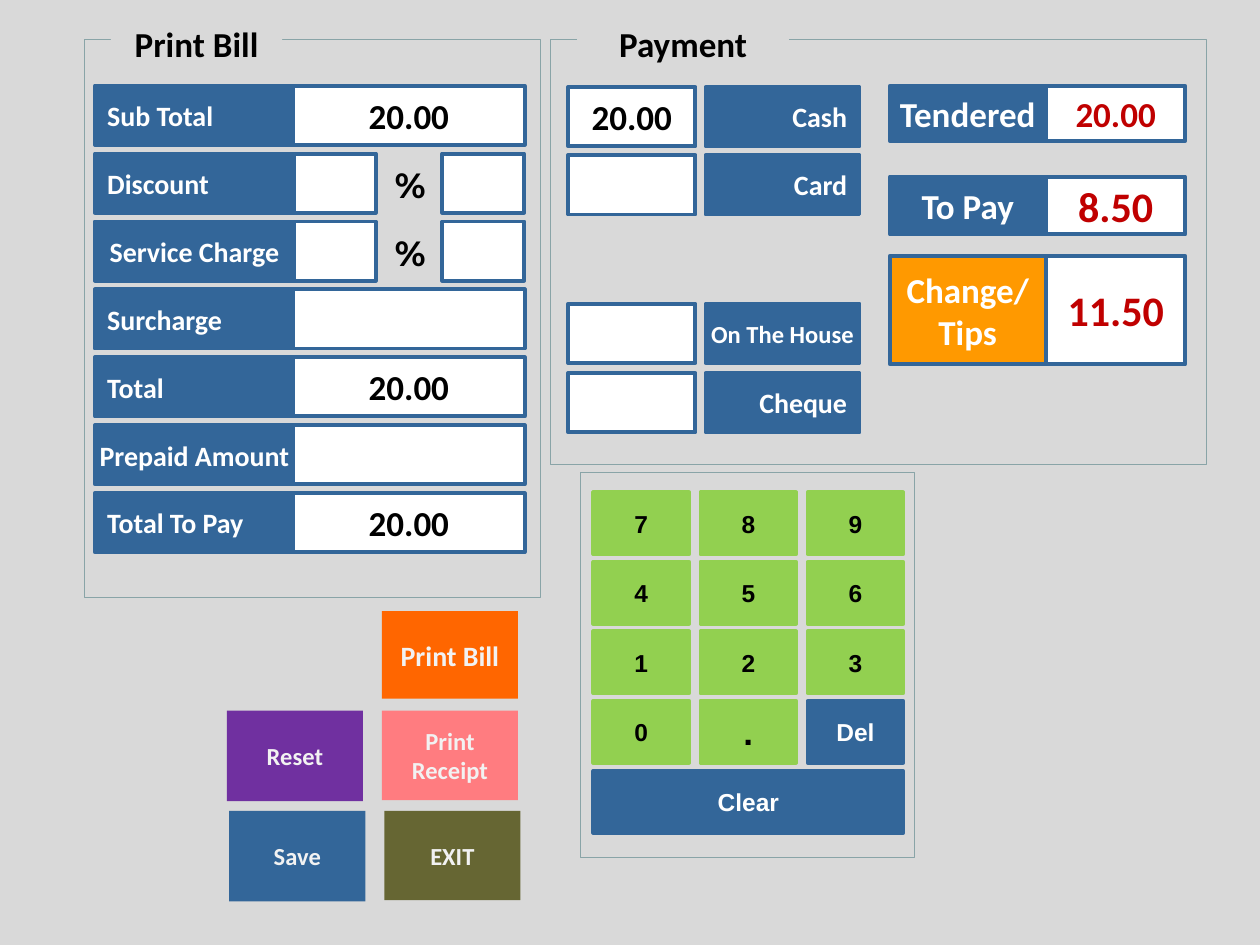
from itertools import product

from pptx import Presentation
from pptx import util as u
from pptx.dml.color import RGBColor
from pptx.enum import shapes, text

GREY = RGBColor(0xD9, 0xD9, 0xD9)
BLUE = RGBColor(0x33, 0x66, 0x99)
WHITE = RGBColor(0xFF, 0xFF, 0xFF)
BLACK = RGBColor(0x00, 0x00, 0x00)
RED = RGBColor(0xC0, 0x00, 0x00)
AMBER = RGBColor(0xFF, 0x99, 0x00)
GREEN = RGBColor(0x92, 0xD0, 0x50)
PURPLE = RGBColor(0x70, 0x30, 0xA0)
PINK = RGBColor(0xFF, 0x7C, 0x80)
ORANGE = RGBColor(0xFF, 0x66, 0x00)
OLIVE = RGBColor(0x66, 0x66, 0x33)
PALE = RGBColor(0xF2, 0xF2, 0xF2)
FRAME = RGBColor(0x89, 0xA4, 0xA7)

LEFT, CENTER, RIGHT = text.PP_ALIGN.LEFT, text.PP_ALIGN.CENTER, text.PP_ALIGN.RIGHT
TOP, MIDDLE = text.MSO_ANCHOR.TOP, text.MSO_ANCHOR.MIDDLE

deck = Presentation()
deck.slide_width, deck.slide_height = u.Pt(720), u.Pt(540)
page = deck.slides.add_slide(deck.slide_layouts[6])


def write(box, words, size, color, align=CENTER, font="Calibri", anchor=MIDDLE, wrap=False):
    frame = box.text_frame
    frame.text = words
    frame.word_wrap = wrap
    frame.vertical_anchor = anchor
    look = {"name": font, "size": u.Pt(size), "bold": True}
    for para in frame.paragraphs:
        para.alignment = align
        for span in para.runs:
            for key, value in look.items():
                setattr(span.font, key, value)
            span.font.color.rgb = color


def block(left, top, width, height, fill=None, line=None, weight=2.25):
    box = page.shapes.add_shape(
        shapes.MSO_SHAPE.RECTANGLE, u.Pt(left), u.Pt(top), u.Pt(width), u.Pt(height))
    box.shadow.inherit = False
    if fill is None:
        box.fill.background()
    else:
        box.fill.solid()
        box.fill.fore_color.rgb = fill
    if line is None:
        box.line.fill.background()
    else:
        box.line.color.rgb = line
        box.line.width = u.Pt(weight)
    return box


block(0, 0, 720, 540, GREY)

payments = [
    (49.7, "Cash", "20.00", 16, RIGHT),
    (88.6, "Card", "", 16, RIGHT),
    (173.5, "On The House", "", 14, CENTER),
    (213.1, "Cheque", "", 16, RIGHT),
]
for top, label, amount, size, align in payments:
    write(block(403.2, top, 88, 34, BLUE, BLUE), label, size, WHITE, align)
    write(block(324.7, top, 72.7, 34, WHITE, BLUE), amount, 20, BLACK)

balances = [
    (49, 31.5, BLUE, "Tendered", "20.00", 20),
    (101, 33, BLUE, "To Pay", "8.50", 24),
    (146.2, 62, AMBER, "Change/\nTips", "11.50", 24),
]
for top, height, fill, label, amount, size in balances:
    write(block(508.5, top, 89, height, fill, BLUE), label, 20, WHITE)
    write(block(597.8, top, 79.5, height, WHITE, BLUE), amount, size, RED)

bill_rows = [
    ("Sub Total", "20.00", LEFT),
    ("Discount", "%", LEFT),
    ("Service Charge", "%", CENTER),
    ("Surcharge", "", LEFT),
    ("Total", "20.00", LEFT),
    ("Prepaid Amount", "", CENTER),
    ("Total To Pay", "20.00", LEFT),
]
for row, (label, amount, align) in enumerate(bill_rows):
    top = 49 + 38.8 * row
    write(block(54.2, top, 113.8, 33.8, BLUE, BLUE), label, 16, WHITE, align)
    if amount == "%":
        for left in (168, 252.7):
            block(left, top, 46.8, 33.8, WHITE, BLUE)
        sign = page.shapes.add_textbox(u.Pt(218.5), u.Pt(top + 2), u.Pt(32.4), u.Pt(31.5))
        write(sign, amount, 20, BLACK, LEFT, "Montserrat", TOP)
    else:
        write(block(167.6, top, 132.2, 33.8, WHITE, BLUE), amount, 20, BLACK)

actions = [
    (218.2, 349.2, 50, ORANGE, "Print Bill", 16),
    (129.6, 406.1, 51.8, PURPLE, "Reset", 14),
    (218.2, 406.1, 51.1, PINK, "Print\nReceipt", 14),
    (131, 463.3, 51.8, BLUE, "Save", 14),
    (219.6, 463.3, 51.1, OLIVE, "EXIT", 14),
]
for left, top, height, fill, label, size in actions:
    write(block(left, top, 77.8, height, fill), label, size, PALE)

keys = ["7", "8", "9", "4", "5", "6", "1", "2", "3", "0", ".", "Del"]
for (row, column), key in zip(product(range(4), range(3)), keys):
    fill, color = (BLUE, WHITE) if key == "Del" else (GREEN, BLACK)
    button = block(339.1 + 61.2 * column, 281.4 + 39.7 * row, 54.7, 35.3, fill, fill)
    write(button, key, 20 if key == "." else 14, color, font="Arial")
write(block(339.1, 440.6, 177.1, 35.3, BLUE, BLUE), "Clear", 14, WHITE, font="Arial")

for left, top, width, height in [
    (314.6, 22.4, 375.1, 242.9),
    (331.9, 270, 190.8, 220),
    (48.2, 22.4, 260.6, 319),
]:
    block(left, top, width, height, line=FRAME, weight=0.5)

for left, width, heading in [(329.8, 121, "Payment"), (63.4, 97.9, "Print Bill")]:
    write(block(left, 9.4, width, 31.5, GREY), heading, 20, BLACK, anchor=TOP, wrap=True)

deck.save("out.pptx")
